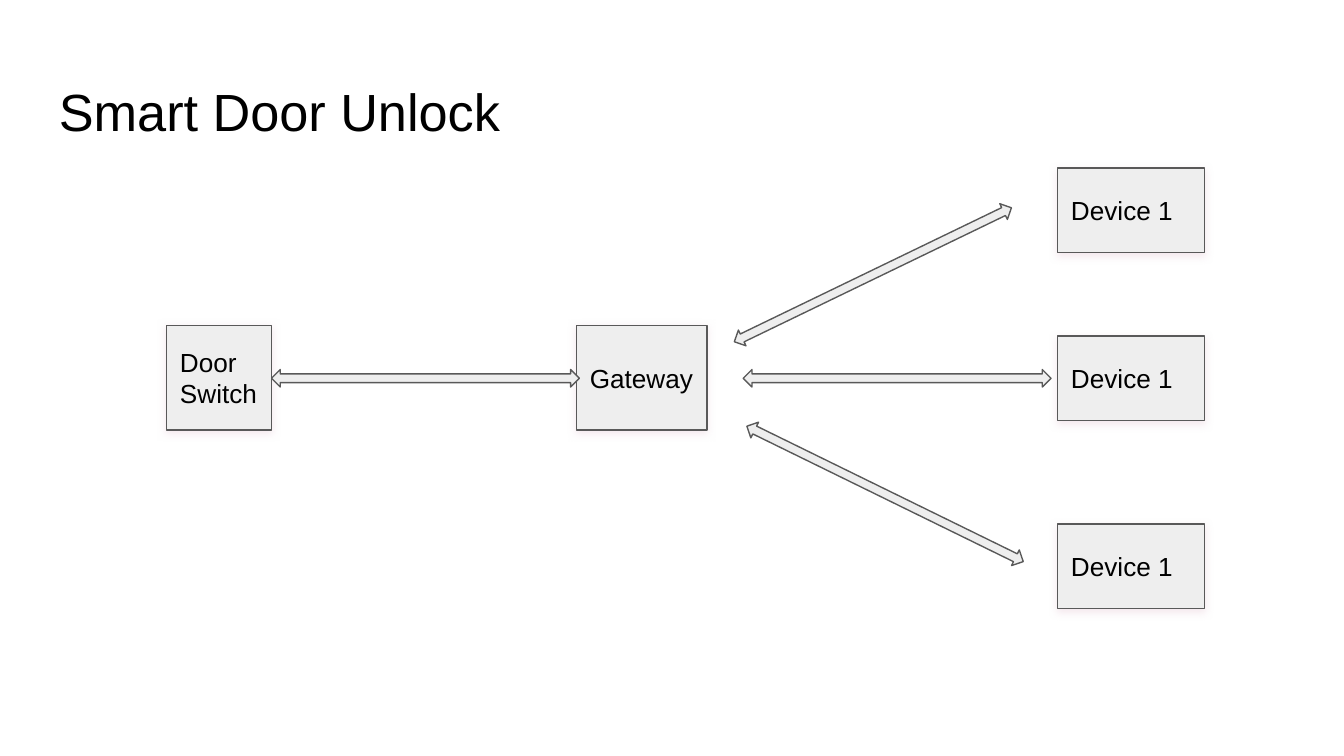
from lxml.etree import SubElement
from pptx import Presentation
from pptx.dml.color import RGBColor
from pptx.enum.shapes import MSO_SHAPE
from pptx.enum.text import MSO_ANCHOR, PP_ALIGN
from pptx.oxml.ns import qn
from pptx.util import Inches, Pt

COLORS = {"text": "000000", "fill": "EEEEEE", "line": "595959", "shade": "EAD1DC"}


def color(name):
    """Return the named colour."""
    return RGBColor.from_string(COLORS[name])


def write(shape, text, size, anchor):
    """Put one left-aligned run of text in a shape."""
    frame = shape.text_frame
    frame.word_wrap = True
    frame.vertical_anchor = anchor
    frame.margin_left = frame.margin_right = Inches(0.1)
    frame.margin_top = frame.margin_bottom = Inches(0.1)
    para = frame.paragraphs[0]
    para.alignment = PP_ALIGN.LEFT
    run = para.add_run()
    run.text = text
    run.font.name = "Arial"
    run.font.size = Pt(size)
    run.font.color.rgb = color("text")


def add_title(slide, text):
    """Add the slide heading."""
    box = slide.shapes.add_textbox(Inches(0.34), Inches(0.49), Inches(9.32), Inches(0.63))
    write(box, text, 28, MSO_ANCHOR.TOP)


def add_form(slide, kind, left, top, width, height):
    """Add a grey outlined shape without a shadow."""
    shape = slide.shapes.add_shape(
        kind, Inches(left), Inches(top), Inches(width), Inches(height)
    )
    shape.shadow.inherit = False
    shape.fill.solid()
    shape.fill.fore_color.rgb = color("fill")
    shape.line.color.rgb = color("line")
    shape.line.width = Pt(0.75)
    return shape


def add_shade(shape):
    """Give a shape a soft shadow below it."""
    effects = shape.element.spPr.find(qn("a:effectLst"))
    shade = SubElement(
        effects, qn("a:outerShdw"), blurRad=str(Pt(4.5)), dist=str(Pt(1.5)),
        dir="5400000", algn="bl", rotWithShape="0",
    )
    tint = SubElement(shade, qn("a:srgbClr"), val=COLORS["shade"])
    SubElement(tint, qn("a:alpha"), val="50000")


def add_node(slide, text, left, top, width, height):
    """Add a labelled box for one part of the system."""
    node = add_form(slide, MSO_SHAPE.RECTANGLE, left, top, width, height)
    add_shade(node)
    write(node, text, 14, MSO_ANCHOR.MIDDLE)


def add_arrow(slide, left, top, angle=0):
    """Add a two-way arrow turned by an angle in degrees."""
    arrow = add_form(slide, MSO_SHAPE.LEFT_RIGHT_ARROW, left, top, 2.29, 0.13)
    arrow.rotation = angle


def main():
    """Build the slide and save it."""
    deck = Presentation()
    deck.slide_width, deck.slide_height = Inches(10), Inches(10 * 9 / 16)
    slide = deck.slides.add_slide(deck.slide_layouts[6])
    add_title(slide, "Smart Door Unlock")
    add_node(slide, "Door Switch", 1.24, 2.42, 0.78, 0.78)
    add_node(slide, "Gateway", 4.29, 2.42, 0.97, 0.78)
    for top in (1.25, 2.5, 3.9):
        add_node(slide, "Device 1", 7.87, top, 1.09, 0.63)
    add_arrow(slide, 2.02, 2.75)
    add_arrow(slide, 5.53, 2.75)
    add_arrow(slide, 5.44, 3.61, 26.1)
    add_arrow(slide, 5.35, 1.98, 334.2)
    deck.save("out.pptx")


if __name__ == "__main__":
    main()
